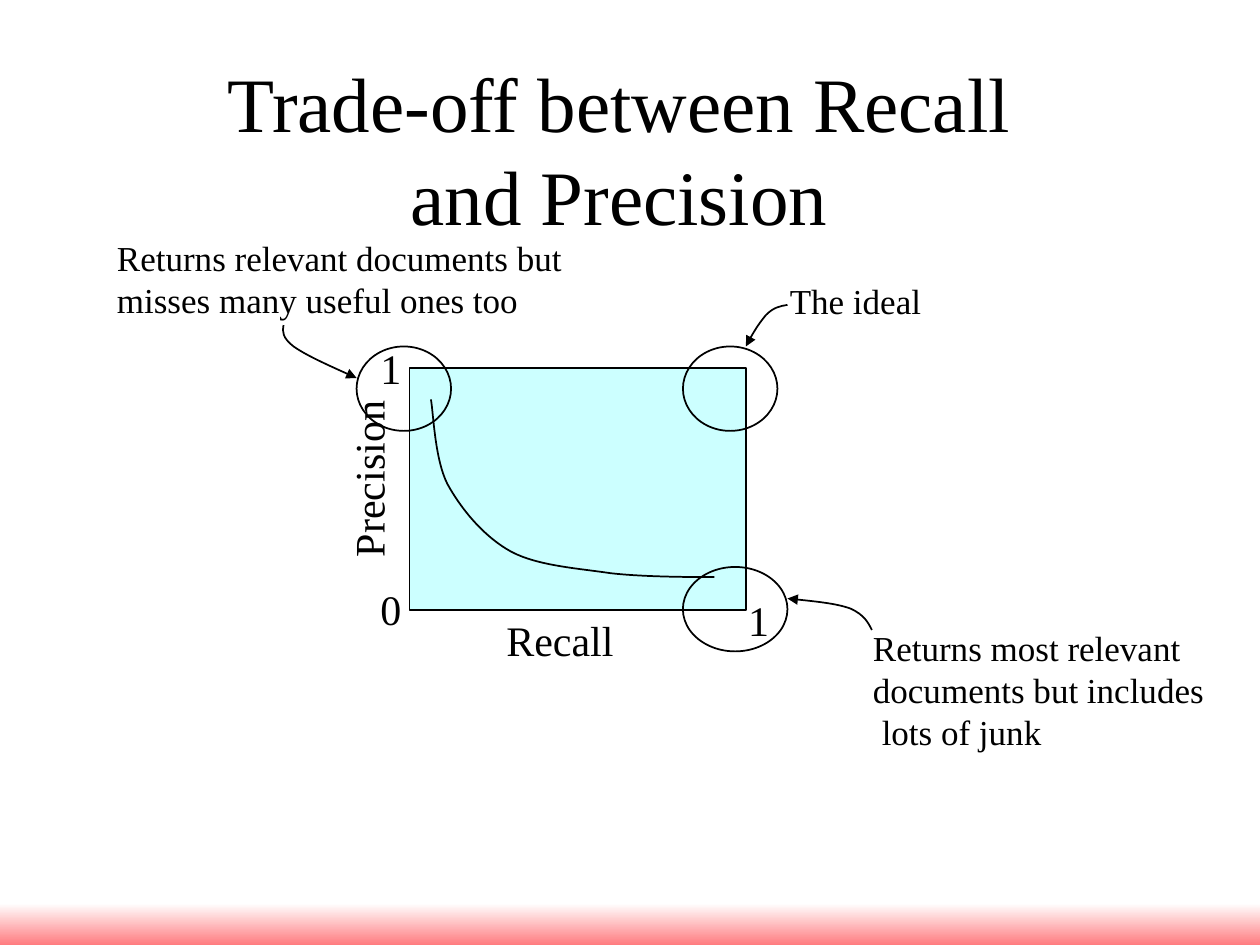
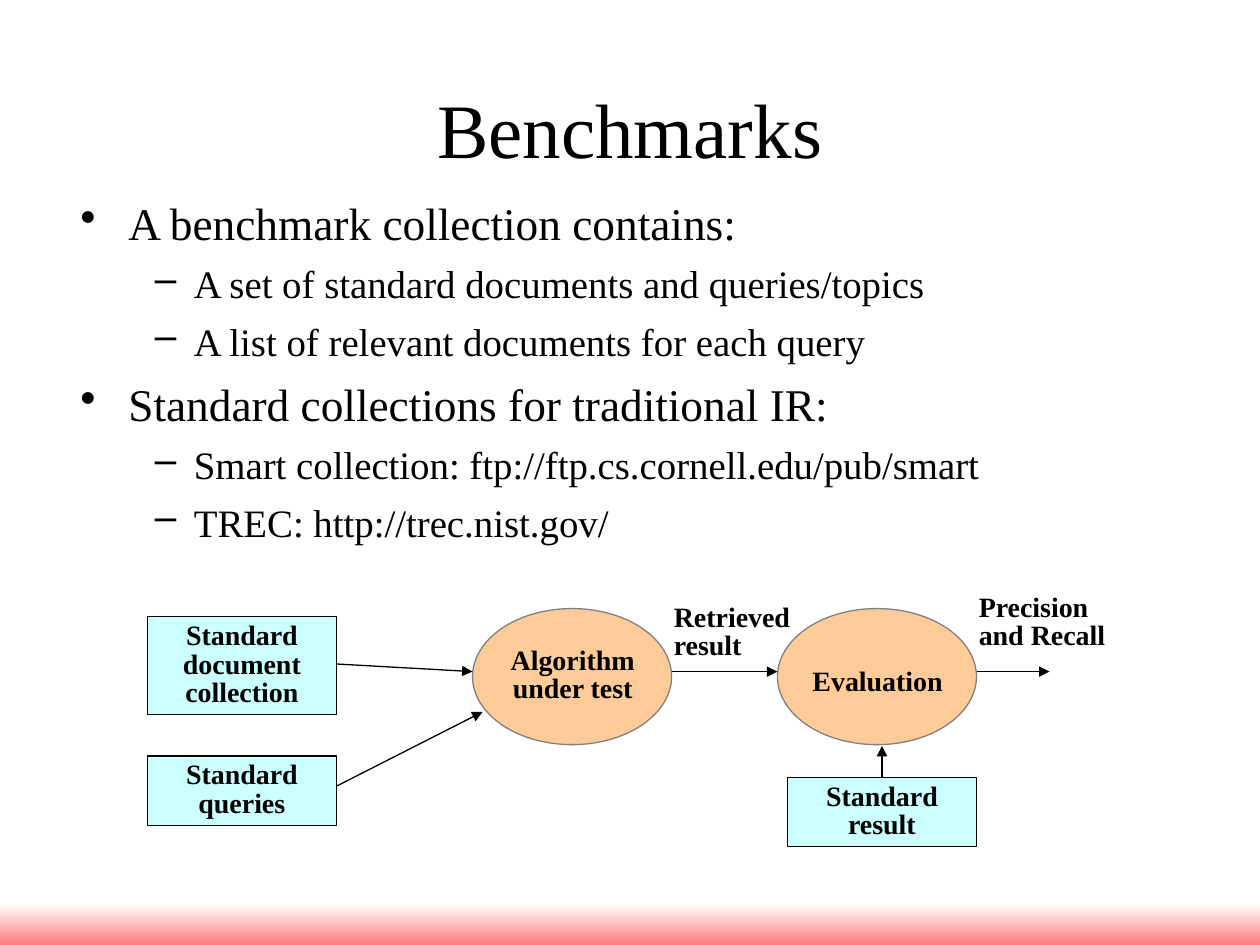
import pptx
import pptx.dml.color
import pptx.enum.shapes
import pptx.enum.text
import pptx.oxml
import pptx.oxml.ns
import pptx.util
from pptx.util import Inches

COLORS = {
    "black": "000000",
    "white": "FFFFFF",
    "band": "FF7C80",
    "cyan": "CCFFFF",
    "orange": "FFCC99",
    "grey": "808080",
}
FONT = "Times New Roman"
SHAPES = pptx.enum.shapes.MSO_SHAPE
ALIGN = pptx.enum.text.PP_ALIGN
ANCHOR = pptx.enum.text.MSO_ANCHOR
AUTO_SIZE = pptx.enum.text.MSO_AUTO_SIZE
TITLE_ONLY = 5


def color(name):
    return pptx.dml.color.RGBColor.from_string(COLORS[name])


def add_element(parent, tag, **attributes):
    element = parent.makeelement(pptx.oxml.ns.qn(tag), attributes)
    parent.append(element)
    return element


def indent(paragraph, left, hanging=0, bullet=None):
    properties = paragraph._p.get_or_add_pPr()
    properties.set("marL", str(Inches(left)))
    properties.set("indent", str(-Inches(hanging)))
    if bullet:
        add_element(properties, "a:buChar", char=bullet)


def add_arrowhead(line):
    add_element(line._get_or_add_ln(), "a:tailEnd", type="triangle")


class Deck:
    def __init__(self):
        self.presentation = pptx.Presentation()
        self.presentation.slide_width = Inches(10)
        self.presentation.slide_height = Inches(7.5)
        self.slide = None

    def new_slide(self, title, left, top, width, height):
        layout = self.presentation.slide_layouts[TITLE_ONLY]
        self.slide = self.presentation.slides.add_slide(layout)
        self.band()
        shape = self.slide.shapes.title
        shape.left, shape.top = Inches(left), Inches(top)
        shape.width, shape.height = Inches(width), Inches(height)
        self.fill_text(shape, [title], 44, align=ALIGN.CENTER, anchor=ANCHOR.MIDDLE)
        shape.text_frame.auto_size = AUTO_SIZE.NONE

    def band(self):
        band = self.shape(SHAPES.RECTANGLE, 0, 7.17, 10, 0.33, line=None)
        band.fill.gradient()
        band.fill.gradient_angle = 270
        for stop, position, name in zip(band.fill.gradient_stops, (0, 1), ("white", "band")):
            stop.position = position
            stop.color.rgb = color(name)

    def shape(self, kind, left, top, width, height, fill=None, line="black", weight=1):
        shape = self.slide.shapes.add_shape(
            kind, Inches(left), Inches(top), Inches(width), Inches(height))
        self.paint(shape, fill, line, weight)
        return shape

    def paint(self, shape, fill, line, weight):
        shape.shadow.inherit = False
        if fill:
            shape.fill.solid()
            shape.fill.fore_color.rgb = color(fill)
        else:
            shape.fill.background()
        if line:
            shape.line.color.rgb = color(line)
            shape.line.width = pptx.util.Pt(weight)
        else:
            shape.line.fill.background()

    def fill_text(self, shape, lines, size, bold=False, align=ALIGN.LEFT,
                  anchor=ANCHOR.TOP, spacing=None):
        frame = shape.text_frame
        frame.text = "\n".join(lines)
        frame.word_wrap = True
        frame.vertical_anchor = anchor
        for paragraph in frame.paragraphs:
            paragraph.alignment = align
            if spacing:
                paragraph.line_spacing = spacing
            for run in paragraph.runs:
                self.style(run.font, size, bold)

    def style(self, font, size, bold=False):
        font.name = FONT
        font.size = pptx.util.Pt(size)
        font.bold = bold
        font.color.rgb = color("black")

    def text(self, lines, left, top, width, height, size, wrap=False, **style):
        box = self.slide.shapes.add_textbox(
            Inches(left), Inches(top), Inches(width), Inches(height))
        self.fill_text(box, lines, size, **style)
        box.text_frame.word_wrap = wrap
        box.text_frame.auto_size = AUTO_SIZE.SHAPE_TO_FIT_TEXT
        return box

    def label(self, text, left, top, width, height, align=ALIGN.CENTER):
        self.text([text], left, top, width, height, 16, wrap=True, bold=True,
                  align=align, anchor=ANCHOR.BOTTOM, spacing=0.85)

    def labelled_box(self, text, left, top, height):
        box = self.shape(SHAPES.RECTANGLE, left, top, 1.5, height, "cyan", weight=0.75)
        self.fill_text(box, [text], 16, bold=True, align=ALIGN.CENTER,
                       anchor=ANCHOR.BOTTOM, spacing=0.85)

    def process(self, text, left, label_top, label_height):
        self.shape(SHAPES.OVAL, left, 4.83, 1.58, 1.08, "orange", "grey", 0.75)
        self.label(text, left + 0.17, label_top, 1.25, label_height)

    def bullets(self, items, left, top, width, height):
        """Lay out (level, text) items as a two-level list."""
        levels = [
            {"left": 0.38, "hanging": 0.38, "bullet": "•", "size": 25.9, "before": 7},
            {"left": 0.9, "hanging": 0.31, "bullet": "–", "size": 22.2, "before": 6},
        ]
        box = self.text([text for _, text in items], left, top, width, height, 22.2, wrap=True)
        box.text_frame.auto_size = AUTO_SIZE.NONE
        for number, (level, _) in enumerate(items):
            paragraph = box.text_frame.paragraphs[number]
            look = levels[level]
            if number:
                paragraph.space_before = pptx.util.Pt(look["before"])
            indent(paragraph, look["left"], look["hanging"], look["bullet"])
            self.style(paragraph.runs[0].font, look["size"])

    def curve(self, points, arrow=True):
        """Draw a Bézier curve: a start, then two controls and an end per segment."""
        points = [(Inches(x), Inches(y)) for x, y in points]
        builder = self.slide.shapes.build_freeform(*points[0])
        builder.add_line_segments(points[1:], close=False)
        curve = builder.convert_to_shape()
        straight = curve._element.xpath(".//a:lnTo")
        outline = straight[0].getparent()
        for start in range(0, len(straight), 3):
            segment = add_element(outline, "a:cubicBezTo")
            for vertex in straight[start:start + 3]:
                segment.append(vertex[0])
                outline.remove(vertex)
        self.paint(curve, None, "black", 1)
        if arrow:
            add_arrowhead(curve.line)

    def arrow(self, start, end):
        ends = [Inches(length) for length in (*start, *end)]
        connector = self.slide.shapes.add_connector(
            pptx.enum.shapes.MSO_CONNECTOR.STRAIGHT, *ends)
        connector.line.color.rgb = color("black")
        connector.line.width = pptx.util.Pt(0.75)
        add_arrowhead(connector.line)
        add_element(connector._element.spPr, "a:effectLst")


def trade_off_slide(deck):
    deck.new_slide("Trade-off between Recall and Precision", 1.42, 0.73, 6.99, 0.89)
    deck.shape(SHAPES.RECTANGLE, 3.25, 2.92, 2.67, 1.92, "cyan")
    deck.curve([(3.42, 3.17),
                (3.44, 3.28), (3.45, 3.64), (3.55, 3.84),
                (3.66, 4.04), (3.84, 4.26), (4.06, 4.38),
                (4.27, 4.49), (4.58, 4.51), (4.85, 4.55),
                (5.12, 4.58), (5.5, 4.58), (5.67, 4.58)], arrow=False)

    for tick, left, top in (("1", 5.84, 4.67), ("0", 2.92, 4.58), ("1", 2.92, 2.67)):
        deck.text([tick], left, top, 0.36, 0.5, 24)
    deck.text(["Recall"], 3.92, 4.83, 1.05, 0.5, 24)
    deck.text(["Precision"], 2.2, 3.55, 1.44, 0.5, 24).rotation = 270

    for left, top, width in ((5.42, 2.75, 0.75), (2.83, 2.75, 0.75), (5.42, 4.5, 0.83)):
        deck.shape(SHAPES.OVAL, left, top, width, 0.67)

    deck.text(["The ideal"], 6.17, 2.17, 1.24, 0.44, 20)
    deck.curve([(6.25, 2.42),
                (6.19, 2.43), (6.14, 2.44), (6.08, 2.5),
                (6.03, 2.56), (5.97, 2.65), (5.92, 2.75)])

    deck.text(["Returns relevant documents but", "misses many useful ones too"],
              0.83, 1.83, 3.73, 0.77, 20)
    deck.curve([(2.25, 2.58),
                (2.24, 2.63), (2.24, 2.68), (2.33, 2.75),
                (2.43, 2.82), (2.63, 2.91), (2.83, 3)])

    junk = deck.text(["Returns most relevant", "documents but includes", "lots of junk"],
                     6.83, 4.92, 2.83, 1.1, 20)
    indent(junk.text_frame.paragraphs[-1], 0.07)
    deck.curve([(6.92, 5),
                (6.89, 4.94), (6.86, 4.88), (6.75, 4.83),
                (6.64, 4.79), (6.44, 4.77), (6.25, 4.75)])


def benchmarks_slide(deck):
    deck.new_slide("Benchmarks", 0.58, 0.58, 8.84, 0.86)
    deck.bullets([
        (0, "A benchmark collection contains:"),
        (1, "A set of standard documents and queries/topics"),
        (1, "A list of relevant documents for each query"),
        (0, "Standard collections for traditional IR:"),
        (1, "Smart collection: ftp://ftp.cs.cornell.edu/pub/smart"),
        (1, "TREC: http://trec.nist.gov/"),
    ], 0.54, 1.5, 8.58, 2.95)

    deck.labelled_box("Standard document collection", 1.17, 4.89, 0.78)
    deck.labelled_box("Standard queries", 1.17, 6, 0.55)
    deck.labelled_box("Standard result", 6.25, 6.17, 0.55)
    deck.process("Algorithm under test", 3.75, 5.09, 0.55)
    deck.process("Evaluation", 6.17, 5.25, 0.33)

    for start, end in (
        ((2.67, 5.27), (3.75, 5.33)),
        ((2.67, 6.24), (3.83, 5.65)),
        ((5.33, 5.33), (6.17, 5.33)),
        ((7.75, 5.33), (8.33, 5.33)),
        ((7, 6.17), (7, 5.92)),
    ):
        deck.arrow(start, end)

    deck.label("Retrieved result", 5.25, 4.75, 1.17, 0.55, ALIGN.LEFT)
    deck.label("Precision and Recall", 7.67, 4.67, 1.36, 0.55, ALIGN.LEFT)


def main():
    deck = Deck()
    trade_off_slide(deck)
    benchmarks_slide(deck)
    deck.presentation.save("out.pptx")


if __name__ == "__main__":
    main()
